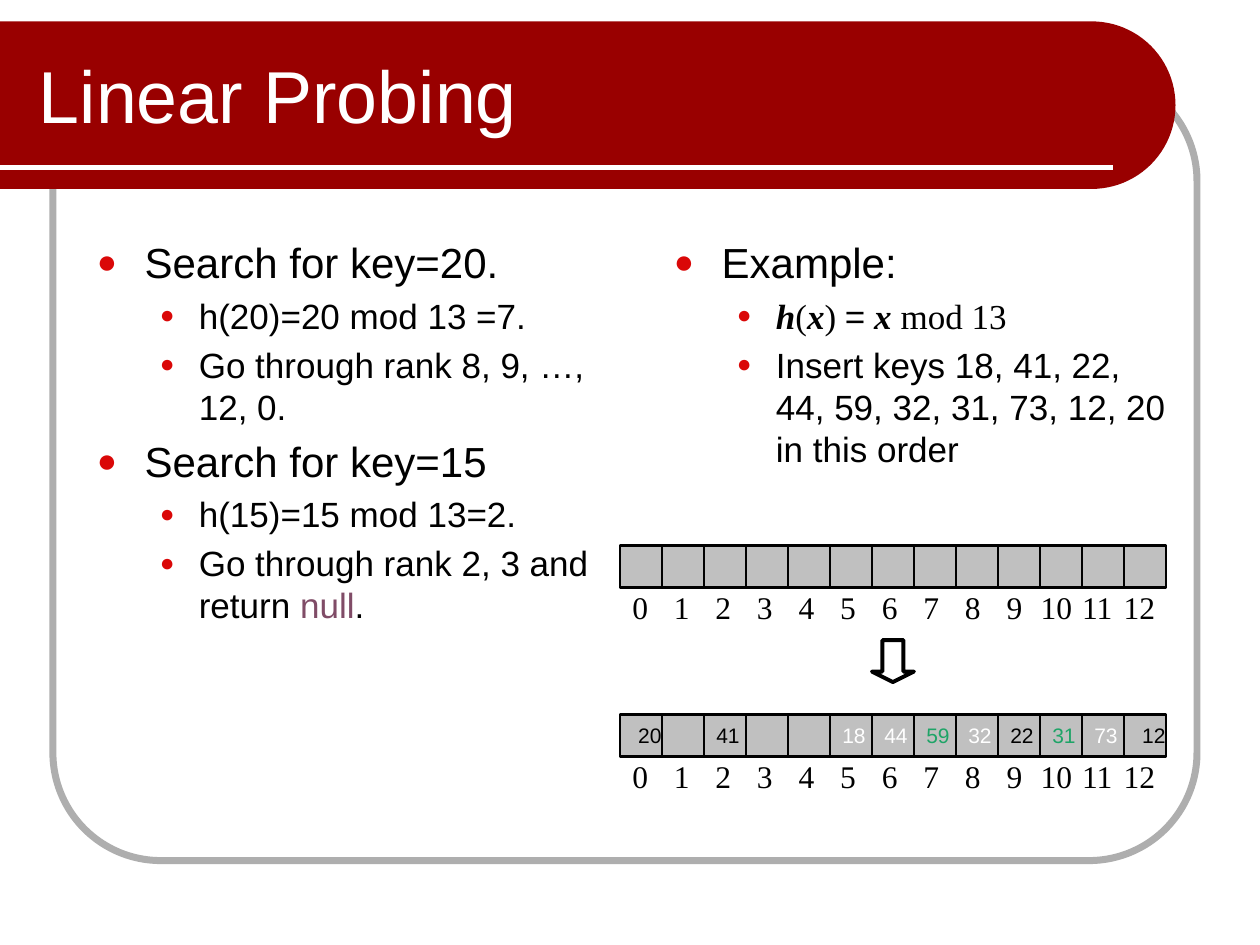
from math import cos, sin, pi

from lxml import etree
from pptx import Presentation
from pptx.dml.color import RGBColor
from pptx.enum.shapes import MSO_CONNECTOR as Link, MSO_SHAPE as Kind
from pptx.enum.text import MSO_ANCHOR as Anchor
from pptx.oxml.ns import qn
from pptx.util import Inches, Pt

WHITE = RGBColor(255, 255, 255)
BLACK = RGBColor(0, 0, 0)
RED = RGBColor(0x99, 0, 0)
GRAY = RGBColor(0xAE, 0xAE, 0xAE)
SILVER = RGBColor(0xC0, 0xC0, 0xC0)
GREEN = RGBColor(0x1E, 0xA4, 0x67)
PLUM = RGBColor(0x80, 0x4C, 0x67)
BULLET = "DA0808"
SANS, SERIF = "Arial", "Times New Roman"

# level: text size, left margin, hanging indent, bullet percent
LEVELS = [(24, 0.38, -0.38, 80), (20, 0.81, -0.31, 70)]
PLAIN = {"name": SERIF}
STRONG = {"name": SERIF, "bold": True, "italic": True}

SEARCH = [
    (0, ["Search for key=20."]),
    (1, ["h(20)=20 mod 13 =7."]),
    (1, ["Go through rank 8, 9, …, 12, 0."]),
    (0, ["Search for key=15"]),
    (1, ["h(15)=15 mod 13=2."]),
    (1, ["Go through rank 2, 3 and return ", ("null", {"rgb": PLUM}), "."]),
]
EXAMPLE = [
    (0, ["Example:"]),
    (1, [("h", STRONG), ("(", PLAIN), ("x", STRONG), (") ", PLAIN), "=",
         (" x ", STRONG), ("mod 13", PLAIN)]),
    (1, ["Insert keys 18, 41, 22, 44, 59, 32, 31, 73, 12, 20 in this order"]),
]

SLOTS = 13
CELL = 1 / 3
LEFT = 4.92
KEYS = {0: (" 20", BLACK), 2: ("41", BLACK), 5: ("18", WHITE),
        6: ("44", WHITE), 7: ("59", GREEN), 8: ("32", WHITE),
        9: ("22", BLACK), 10: ("31", GREEN), 11: ("73", WHITE),
        12: (" 12", BLACK)}


class Deck:
    def __init__(self, slide):
        self.slide = slide
        self.shapes = slide.shapes
        self.style = {"name": SANS, "size": 20, "rgb": BLACK}

    def run(self, para, text, **style):
        run = para.add_run()
        run.text = text
        look = {**self.style, **style}
        run.font.color.rgb = look.pop("rgb")
        look["size"] = Pt(look["size"])
        for key, value in look.items():
            setattr(run.font, key, value)

    def paint(self, shape, fill=None, line=None, width=1):
        shape.shadow.inherit = False
        if fill is None:
            shape.fill.background()
        else:
            shape.fill.solid()
            shape.fill.fore_color.rgb = fill
        if line is None:
            shape.line.fill.background()
        else:
            shape.line.color.rgb = line
            shape.line.width = Pt(width)

    def shape(self, kind, box, adjust=(), **look):
        shape = self.shapes.add_shape(kind, *map(Inches, box))
        for i, value in enumerate(adjust):
            shape.adjustments[i] = value
        self.paint(shape, **look)
        return shape

    def banner(self, top, right, high, color):
        """Draw a bar from the left edge that ends in a half circle."""
        rad = high / 2
        mid = right - rad
        turns = [pi * (i / 48 - 0.5) for i in range(49)]
        arc = [(Inches(mid + rad * cos(t)), Inches(top + rad + rad * sin(t)))
               for t in turns]
        form = self.shapes.build_freeform(0, Inches(top))
        form.add_line_segments(arc + [(0, Inches(top + high))], close=True)
        self.paint(form.convert_to_shape(), fill=color)

    def line(self, start, end, color, width):
        line = self.shapes.add_connector(
            Link.STRAIGHT, *map(Inches, start + end))
        line.line.color.rgb = color
        line.line.width = Pt(width)
        etree.SubElement(line.element.spPr, qn("a:effectLst"))

    def frame(self, box, wrap=True, anchor=Anchor.TOP):
        frame = self.shapes.add_textbox(*map(Inches, box)).text_frame
        frame.word_wrap = wrap
        frame.vertical_anchor = anchor
        return frame

    def label(self, box, text, wrap=True, anchor=Anchor.TOP, **style):
        frame = self.frame(box, wrap, anchor)
        self.run(frame.paragraphs[0], text, **style)

    def bullet(self, para, level):
        size, margin, indent, scale = LEVELS[level]
        para.level = level
        para.space_before = Pt(size * 0.2)
        props = para._p.get_or_add_pPr()
        props.set("marL", str(Inches(margin)))
        props.set("indent", str(Inches(indent)))
        color = etree.SubElement(props, qn("a:buClr"))
        etree.SubElement(color, qn("a:srgbClr"), val=BULLET)
        etree.SubElement(props, qn("a:buSzPct"), val=str(scale * 1000))
        etree.SubElement(props, qn("a:buFont"), typeface=SANS)
        etree.SubElement(props, qn("a:buChar"), char="●")

    def outline(self, box, items):
        frame = self.frame(box)
        for i, (level, parts) in enumerate(items):
            para = frame.add_paragraph() if i else frame.paragraphs[0]
            self.bullet(para, level)
            for part in parts:
                text, style = (part, {}) if isinstance(part, str) else part
                self.run(para, text, **{"size": LEVELS[level][0], **style})

    def array(self, top, keys):
        """Draw a row of cells with the index under each one."""
        for i in range(SLOTS):
            cell = self.shape(Kind.RECTANGLE,
                              (LEFT + i * CELL, top, CELL, CELL),
                              fill=SILVER, line=BLACK, width=1.5)
            if i in keys:
                text, color = keys[i]
                frame = cell.text_frame
                frame.word_wrap = False
                frame.vertical_anchor = Anchor.MIDDLE
                para = frame.paragraphs[0]
                para.alignment = 1
                self.run(para, text, size=12, rgb=color)
        for i in range(SLOTS):
            wide = 0.33 if i < 10 else 0.45
            mid = LEFT + 0.165 + i * 0.33
            self.label((mid - wide / 2, top + 0.29, wide, 0.4), str(i),
                       wrap=False, name=SERIF, size=18)


def main():
    pres = Presentation()
    pres.slide_width, pres.slide_height = Inches(10), Inches(7.5)
    deck = Deck(pres.slides.add_slide(pres.slide_layouts[6]))

    deck.shape(Kind.ROUNDED_RECTANGLE, (0.42, 0.58, 9.08, 6.25), [0.137],
               line=GRAY, width=4)
    deck.banner(0.17, 9.33, 1.33, RED)
    deck.line((0, 1.33), (8.83, 1.33), WHITE, 3)
    deck.label((0.21, 0.25, 7.79, 1), "Linear Probing",
               anchor=Anchor.MIDDLE, size=42, rgb=WHITE)

    deck.outline((0.67, 1.83, 4.5, 5), SEARCH)
    deck.outline((5.25, 1.83, 4.17, 2.42), EXAMPLE)

    deck.array(4.33, {})
    deck.array(5.67, KEYS)
    deck.shape(Kind.DOWN_ARROW, (6.92, 5.08, CELL, CELL), [0.5, 0.25],
               line=BLACK, width=2.25)
    pres.save("out.pptx")


if __name__ == "__main__":
    main()
